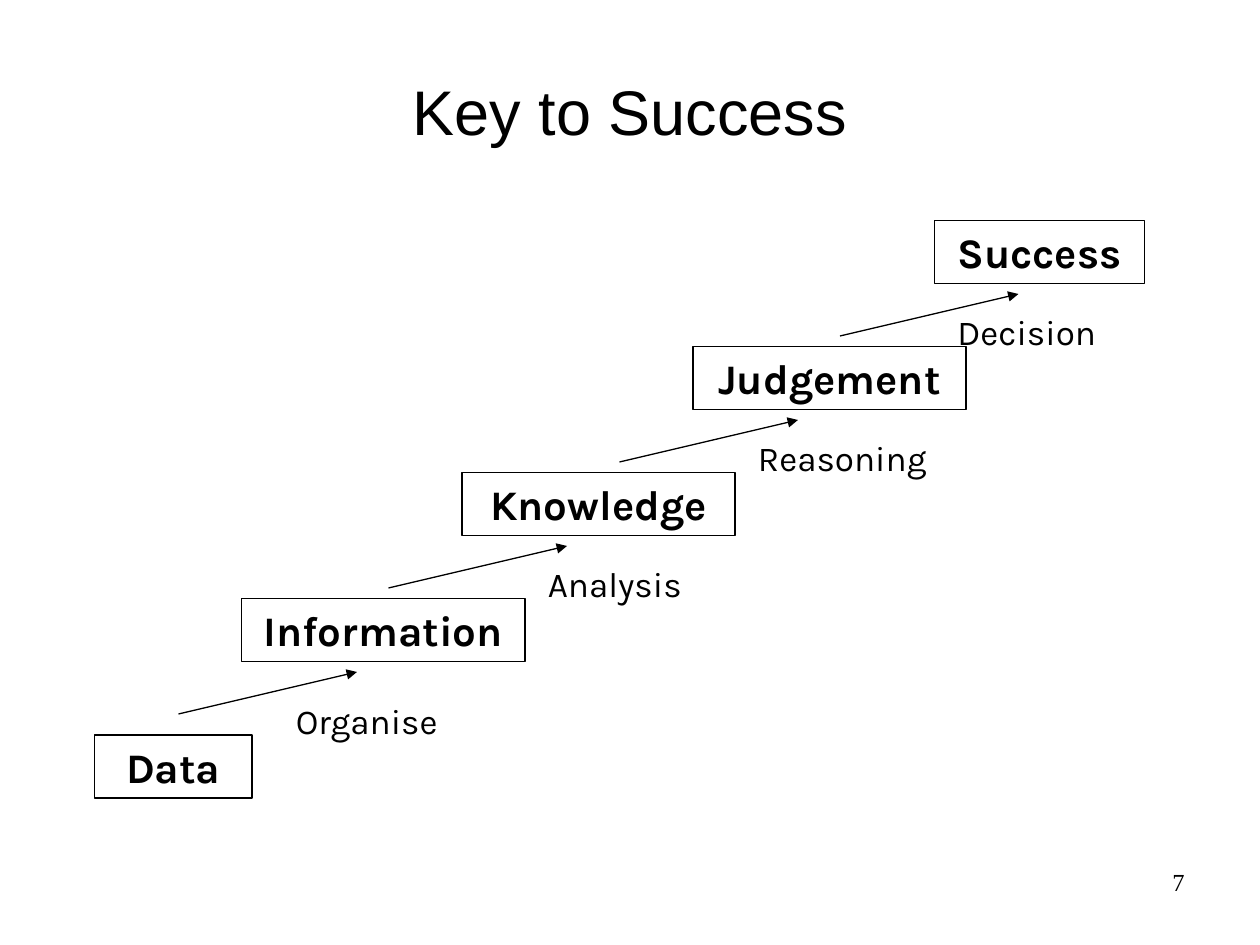
from dataclasses import dataclass

from lxml import etree
from pptx import Presentation
from pptx.dml.color import RGBColor
from pptx.enum.shapes import MSO_CONNECTOR, MSO_SHAPE
from pptx.enum.text import MSO_ANCHOR, MSO_AUTO_SIZE, PP_ALIGN
from pptx.oxml.ns import qn
from pptx.util import Emu, Pt

LEFT, CENTER, RIGHT = PP_ALIGN.LEFT, PP_ALIGN.CENTER, PP_ALIGN.RIGHT
MIDDLE = MSO_ANCHOR.MIDDLE
GROW = MSO_AUTO_SIZE.SHAPE_TO_FIT_TEXT
RECTANGLE = MSO_SHAPE.RECTANGLE
STRAIGHT = MSO_CONNECTOR.STRAIGHT

PX_PER_INCH = 120
COLORS = {"ink": "000000"}
INK = RGBColor.from_string(COLORS["ink"])
FORMATS = {
    "title": {"name": "Arial", "size": Pt(36)},
    "stage": {"name": "Karla", "size": Pt(24), "bold": True},
    "action": {"name": "Karla", "size": Pt(20)},
    "number": {"name": "Times New Roman", "size": Pt(14)},
}

STAGE_HEIGHT = 60
ACTION_WIDTH, ACTION_HEIGHT = 190, 53
ACTION_RISE = 40
ARROW_RUN, ARROW_RISE = 170, 40
ARROW_DROP = 110


@dataclass(frozen=True)
class Stage:
    name: str
    left: int
    top: int
    width: int


@dataclass(frozen=True)
class Step:
    action: str
    action_left: int
    arrow_left: int


STAGES = [
    Stage("Data", 90, 700, 150),
    Stage("Information", 230, 570, 270),
    Stage("Knowledge", 440, 450, 260),
    Stage("Judgement", 660, 330, 260),
    Stage("Success", 890, 210, 200),
]
STEPS = [
    Step("Organise", 270, 170),
    Step("Analysis", 510, 370),
    Step("Reasoning", 710, 590),
    Step("Decision", 900, 800),
]


def px(*lengths: int) -> list[Emu]:
    return [Emu(length * 914400 // PX_PER_INCH) for length in lengths]


def write(frame, text: str, style: str, alignment) -> None:
    frame.word_wrap = True
    paragraph = frame.paragraphs[0]
    paragraph.text = text
    paragraph.alignment = alignment
    for attribute, value in FORMATS[style].items():
        setattr(paragraph.font, attribute, value)
    paragraph.font.color.rgb = INK


def draw_stage(slide, stage: Stage) -> None:
    box = slide.shapes.add_shape(
        RECTANGLE, *px(stage.left, stage.top, stage.width, STAGE_HEIGHT)
    )
    box.shadow.inherit = False
    box.fill.background()
    box.line.color.rgb = INK
    box.line.width = Pt(0.75)
    box.text_frame.auto_size = GROW
    write(box.text_frame, stage.name, "stage", CENTER)


def draw_arrow(slide, left: int, top: int) -> None:
    arrow = slide.shapes.add_connector(
        STRAIGHT, *px(left, top, left + ARROW_RUN, top - ARROW_RISE)
    )
    arrow.line.color.rgb = INK
    arrow.line.width = Pt(0.75)
    etree.SubElement(arrow.line._get_or_add_ln(), qn("a:tailEnd"), type="triangle")
    etree.SubElement(arrow._element.spPr, qn("a:effectLst"))


def draw_action(slide, text: str, left: int, top: int) -> None:
    label = slide.shapes.add_textbox(*px(left, top, ACTION_WIDTH, ACTION_HEIGHT))
    label.text_frame.auto_size = GROW
    write(label.text_frame, text, "action", LEFT)


def main() -> None:
    deck = Presentation()
    deck.slide_width, deck.slide_height = px(1200, 900)
    slide = deck.slides.add_slide(deck.slide_layouts[5])

    title = slide.shapes.title
    title.left, title.top, title.width, title.height = px(60, 30, 1080, 150)
    title.text_frame.vertical_anchor = MIDDLE
    write(title.text_frame, "Key to Success", "title", CENTER)

    page_number = slide.shapes.add_textbox(*px(860, 820, 280, 62))
    write(page_number.text_frame, "7", "number", RIGHT)

    for stage in STAGES:
        draw_stage(slide, stage)
    for step, origin, target in zip(STEPS, STAGES, STAGES[1:]):
        draw_arrow(slide, step.arrow_left, target.top + ARROW_DROP)
        draw_action(slide, step.action, step.action_left, origin.top - ACTION_RISE)

    deck.save("out.pptx")


if __name__ == "__main__":
    main()
